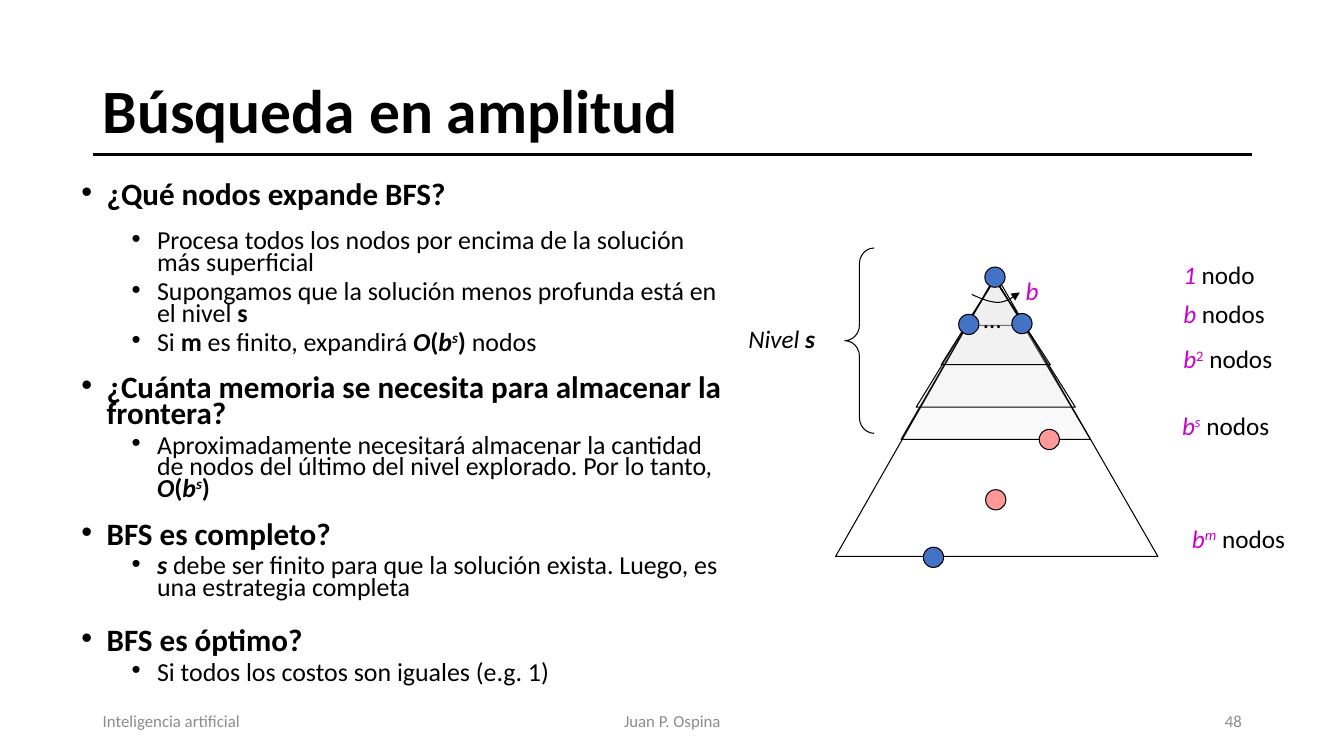
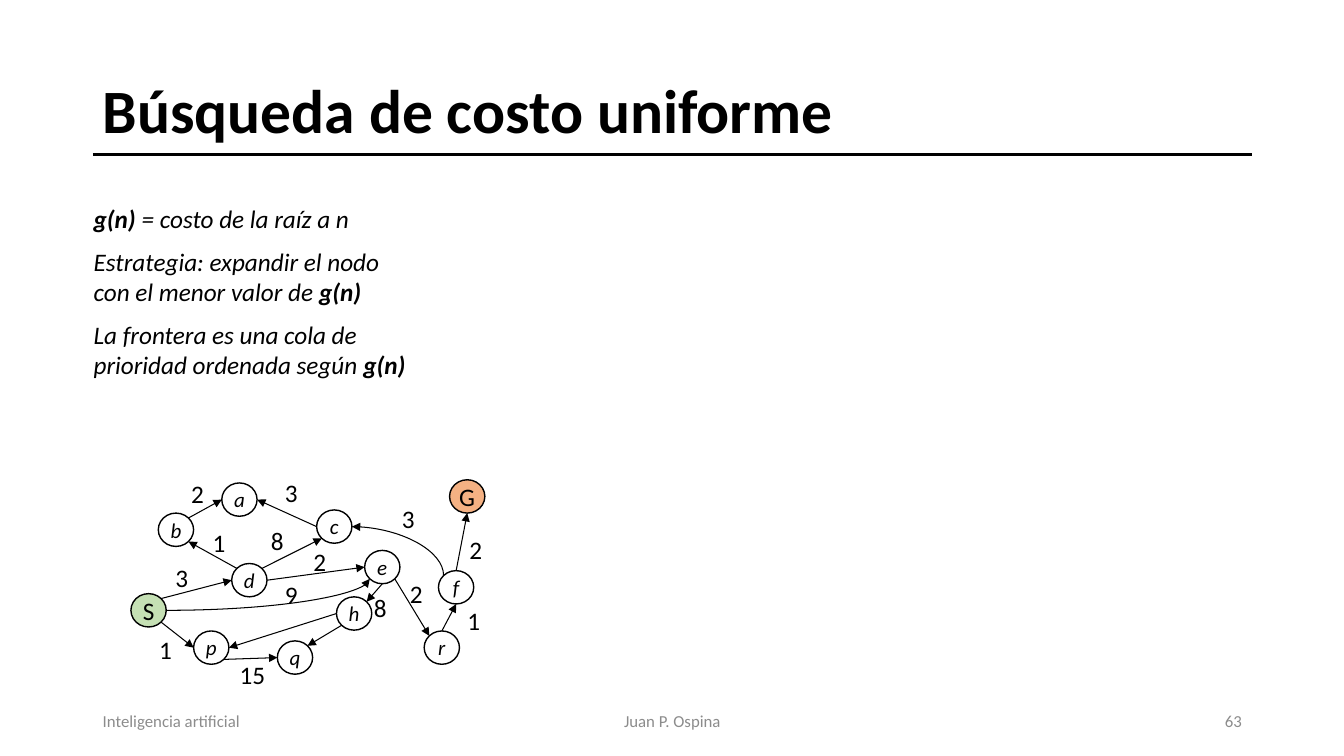
from lxml.etree import SubElement
from pptx import Presentation
from pptx.dml.color import RGBColor
from pptx.enum.shapes import MSO_CONNECTOR as Link, MSO_SHAPE as Form
from pptx.enum.text import MSO_ANCHOR as Anchor, PP_ALIGN as Align
from pptx.oxml.ns import qn
from pptx.util import Cm, Pt

FONT = "Calibri"
COLORS = {
    "ink": "000000", "grey": "8C8C8C", "magenta": "CC00CC", "blue": "4472C4",
    "pink": "FF9999", "level": "E7E6E6", "green": "C5E0B4", "orange": "F4B183",
}

# Run styles: b bold, i italic, s superscript, m magenta
ORDER = [("O", "bi"), ("(", "b"), ("b", "bi"), ("s", "bis"), (")", "b")]
# Level, space before in points, runs
BODY = [
    (0, 0, [("¿Qué nodos expande BFS?", "b")]),
    (1, 15.8, ["Procesa todos los nodos por encima de la solución más superficial"]),
    (1, 5, ["Supongamos que la solución menos profunda está en el nivel ", ("s", "b")]),
    (1, 5, ["Si ", ("m", "b"), " es finito, expandirá ", *ORDER, " nodos"]),
    (0, 15.8, [("¿Cuánta memoria se necesita para almacenar la frontera?", "b")]),
    (1, 5, ["Aproximadamente necesitará almacenar la cantidad de nodos del último "
            "del nivel explorado. Por lo tanto, ", *ORDER]),
    (0, 15.8, [("BFS es completo?", "b")]),
    (1, 5, [("s", "bi"), " debe ser finito para que la solución exista. "
            "Luego, es una estrategia completa"]),
    (0, 21.3, [("BFS es óptimo?", "b")]),
    (1, 5, ["Si todos los costos son iguales (e.g. 1)"]),
]
# Apex x and y, base left, right and y
LEVELS = [
    (25.07, 7.04, 24.33, 25.83, 8.2),
    (25.07, 6.99, 22.71, 27.48, 11.07),
    (25.07, 7.04, 23.09, 27.1, 10.26),
    (25.07, 7.04, 23.72, 26.47, 9.19),
]
TREE = (25.1, 6.93, 21.06, 29.18, 14.02)
DOT = 0.51
DOTS = [
    (24.82, 6.73, "blue"), (24.16, 7.92, "blue"), (25.5, 7.9, "blue"),
    (23.27, 13.79, "blue"), (26.19, 10.82, "pink"), (24.84, 12.34, "pink"),
]
# Two Bézier segments that share their middle point
ARC = [(24.49, 7.42), (24.71, 7.52), (24.94, 7.62), (25.15, 7.62),
       (25.35, 7.62), (25.53, 7.49), (25.7, 7.37)]
TAGS = [
    (24.54, 7.52, 0.76, ["…"]),
    (25.6, 6.81, 0.84, [("b", "im")]),
    (29.57, 6.4, 3.1, [("1", "im"), " nodo"]),
    (29.57, 7.39, 3.1, [("b", "im"), " nodos"]),
    (29.57, 8.53, 3.1, [("b", "im"), ("2", "ms"), " nodos"]),
    (29.54, 10.21, 4.06, [("b", "im"), ("s", "ims"), " nodos"]),
    (29.79, 13.06, 4.06, [("b", "im"), ("m", "ims"), " nodos"]),
    (18.61, 8.03, 3.51, [("Nivel ", "i"), ("s", "bi")]),
]

COST = ("g(n)", "bi")
NOTES = [
    [COST, (" = costo de la raíz a n", "i")],
    [("Estrategia: expandir el nodo con el menor valor de ", "i"), COST],
    [("La frontera es una cola de prioridad ordenada según ", "i"), COST],
]
NODE_W, NODE_H = 0.89, 0.84
NODES = {
    "S": (3.3, 14.96), "G": (11.33, 12.09), "d": (5.84, 14.2),
    "b": (3.99, 12.93), "p": (4.88, 15.9), "q": (6.99, 16.15),
    "c": (7.98, 12.85), "e": (9.19, 13.87), "h": (8.48, 15.04),
    "a": (5.59, 12.17), "f": (11.05, 14.38), "r": (10.69, 15.9),
}
ENDS = {"S": "green", "G": "orange"}
# Node and compass side at each end
EDGES = [
    "S se p w", "p se q w", "h sw q ne", "h w p e", "e s h ne", "e se r nw",
    "r n f s", "f n G s", "S ne d w", "d nw b se", "b ne a w", "c w a e",
    "d ne c sw", "d e e w",
]
# The arrowhead sits at the start (head) or the end (tail)
CURVES = [("c e f nw", "head"), ("S e e sw", "tail")]
COSTS = [
    ("2", 4.57, 11.94), ("3", 4.17, 14.05), ("9", 6.93, 14.48),
    ("1", 3.76, 15.85), ("1", 5.11, 13.16), ("8", 6.58, 13.11),
    ("8", 9.17, 14.81), ("2", 10.08, 14.45), ("15", 5.79, 16.48),
    ("1", 11.53, 15.14), ("2", 11.58, 13.34), ("2", 7.65, 13.64),
    ("3", 9.88, 12.57), ("3", 6.93, 11.91),
]


def rgb(name):
    return RGBColor.from_string(COLORS[name])


def write(par, runs, size=18, color="ink", align=None, before=None, lead=None):
    """Fill a paragraph with runs, each a string or (text, styles)."""
    par.alignment = align
    if before:
        par.space_before = Pt(before)
    if lead:
        par.line_spacing = lead
    for item in runs:
        text, style = (item, "") if isinstance(item, str) else item
        run = par.add_run()
        run.text = text
        font = run.font
        font.name, font.size = FONT, Pt(size)
        font.bold, font.italic = "b" in style, "i" in style
        font.color.rgb = rgb("magenta" if "m" in style else color)
        if "s" in style:
            run._r.get_or_add_rPr().set("baseline", "30000")


def box(slide, left, top, width, height, *lines, anchor=Anchor.TOP, gap=None, **fmt):
    frame = slide.shapes.add_textbox(Cm(left), Cm(top), Cm(width), Cm(height)).text_frame
    frame.word_wrap = True
    frame.vertical_anchor = anchor
    for i, runs in enumerate(lines):
        par = frame.add_paragraph() if i else frame.paragraphs[0]
        write(par, runs, before=gap if i else None, **fmt)
    return frame


def paint(item, fill=None, weight=0.75, alpha=None):
    item.shadow.inherit = False
    item.line.color.rgb = rgb("ink")
    item.line.width = Pt(weight)
    if not fill:
        item.fill.background()
        return
    item.fill.solid()
    item.fill.fore_color.rgb = rgb(fill)
    if alpha:
        tint = item._element.spPr.find(qn("a:solidFill"))[0]
        SubElement(tint, qn("a:alpha")).set("val", str(alpha * 1000))


def shape(slide, form, left, top, width, height, **look):
    item = slide.shapes.add_shape(form, Cm(left), Cm(top), Cm(width), Cm(height))
    paint(item, **look)
    return item


def outline(slide, points, close=True, **look):
    first, *rest = [(Cm(x), Cm(y)) for x, y in points]
    pen = slide.shapes.build_freeform(*first)
    pen.add_line_segments(rest, close=close)
    item = pen.convert_to_shape()
    paint(item, **look)
    return item


def tip(item, end="tail"):
    """Put an arrowhead on one end of a line."""
    line = item._element.spPr.find(qn("a:ln"))
    SubElement(line, qn(f"a:{end}End")).set("type", "triangle")


def join(slide, start, stop, kind=Link.STRAIGHT, weight=0.75):
    item = slide.shapes.add_connector(kind, *[Cm(v) for v in (*start, *stop)])
    item.line.color.rgb = rgb("ink")
    item.line.width = Pt(weight)
    SubElement(item._element.spPr, qn("a:effectLst"))
    return item


def triangle(slide, apex_x, apex_y, left, right, base, **look):
    outline(slide, [(apex_x, apex_y), (left, base), (right, base)], **look)


def bezier(a, b, c, d, steps=10):
    for i in range(steps + 1):
        t = i / steps
        u = 1 - t
        yield tuple(u**3 * p + 3 * u * u * t * q + 3 * u * t * t * r + t**3 * s
                    for p, q, r, s in zip(a, b, c, d))


def ports(edge):
    """Points on the node outlines where an edge starts and stops."""
    start, out, stop, into = edge.split()
    for name, side in ((start, out), (stop, into)):
        reach = 0.5 if len(side) == 1 else 0.5 * 0.5**0.5
        left, top = NODES[name]
        yield (left + NODE_W * (0.5 + reach * (("e" in side) - ("w" in side))),
               top + NODE_H * (0.5 + reach * (("s" in side) - ("n" in side))))


def base(deck, title, number):
    """Add a slide with the shared title, rule and footer."""
    slide = deck.slides.add_slide(deck.slide_layouts[6])
    join(slide, (2.34, 3.89), (31.55, 3.89), weight=2.25)
    box(slide, 2.34, 1.02, 29.21, 3.68, [(title, "b")],
        anchor=Anchor.MIDDLE, size=44, lead=0.9)
    for left, width, text, align in (
            (2.34, 7.62, "Inteligencia artificial", Align.LEFT),
            (11.23, 11.43, "Juan P. Ospina", Align.CENTER),
            (23.93, 7.62, number, Align.RIGHT)):
        box(slide, left, 17.65, width, 1.02, [text], anchor=Anchor.MIDDLE,
            size=12, color="grey", align=align)
    return slide


def bullets(slide):
    frame = box(slide, 1.8, 4.52, 16.66, 13.13)
    for i, (level, before, runs) in enumerate(BODY):
        par = frame.add_paragraph() if i else frame.paragraphs[0]
        par.level = level
        props = par._p.get_or_add_pPr()
        props.set("marL", str(Cm(0.64 + 1.27 * level)))
        props.set("indent", str(-Cm(0.64)))
        SubElement(props, qn("a:buFont")).set("typeface", "Arial")
        SubElement(props, qn("a:buChar")).set("char", "•")
        write(par, runs, size=18.5 if level else 22.2, before=before, lead=0.7)


def breadth(deck):
    slide = base(deck, "Búsqueda en amplitud", "48")
    for level in LEVELS:
        triangle(slide, *level, fill="level", alpha=20)
    bullets(slide)
    triangle(slide, *TREE)
    for left, top, fill in DOTS:
        shape(slide, Form.OVAL, left, top, DOT, DOT, fill=fill)
    curve = [*bezier(*ARC[:4]), *list(bezier(*ARC[3:]))[1:]]
    tip(outline(slide, curve, close=False))
    brace = shape(slide, Form.LEFT_BRACE, 21.29, 6.25, 0.74, 4.67)
    brace.adjustments[0], brace.adjustments[1] = 0.53, 0.5
    for left, top, width, runs in TAGS:
        box(slide, left, top, width, 1.02, runs)


def uniform(deck):
    slide = base(deck, "Búsqueda de costo uniforme", "63")
    box(slide, 2.11, 5, 8.71, 6.02, *NOTES, gap=9)
    for name, (left, top) in NODES.items():
        node = shape(slide, Form.FLOWCHART_CONNECTOR, left, top, NODE_W, NODE_H,
                     fill=ENDS.get(name), weight=1)
        frame = node.text_frame
        frame.word_wrap = False
        frame.vertical_anchor = Anchor.MIDDLE
        frame.margin_left = frame.margin_right = 0
        frame.margin_top = frame.margin_bottom = 0
        end = name in ENDS
        write(frame.paragraphs[0], [(name, "" if end else "i")],
              size=18 if end else 15, align=Align.CENTER)
    for edge in EDGES:
        tip(join(slide, *ports(edge)))
    for edge, end in CURVES:
        bend = join(slide, *ports(edge), kind=Link.CURVE)
        bend._element.spPr.find(qn("a:prstGeom")).set("prst", "curvedConnector2")
        tip(bend, end)
    for cost, left, top in COSTS:
        box(slide, left, top, 1.5, 1.02, [cost])


def main():
    deck = Presentation()
    deck.slide_width, deck.slide_height = Cm(33.87), Cm(19.05)
    breadth(deck)
    uniform(deck)
    deck.save("out.pptx")


if __name__ == "__main__":
    main()
